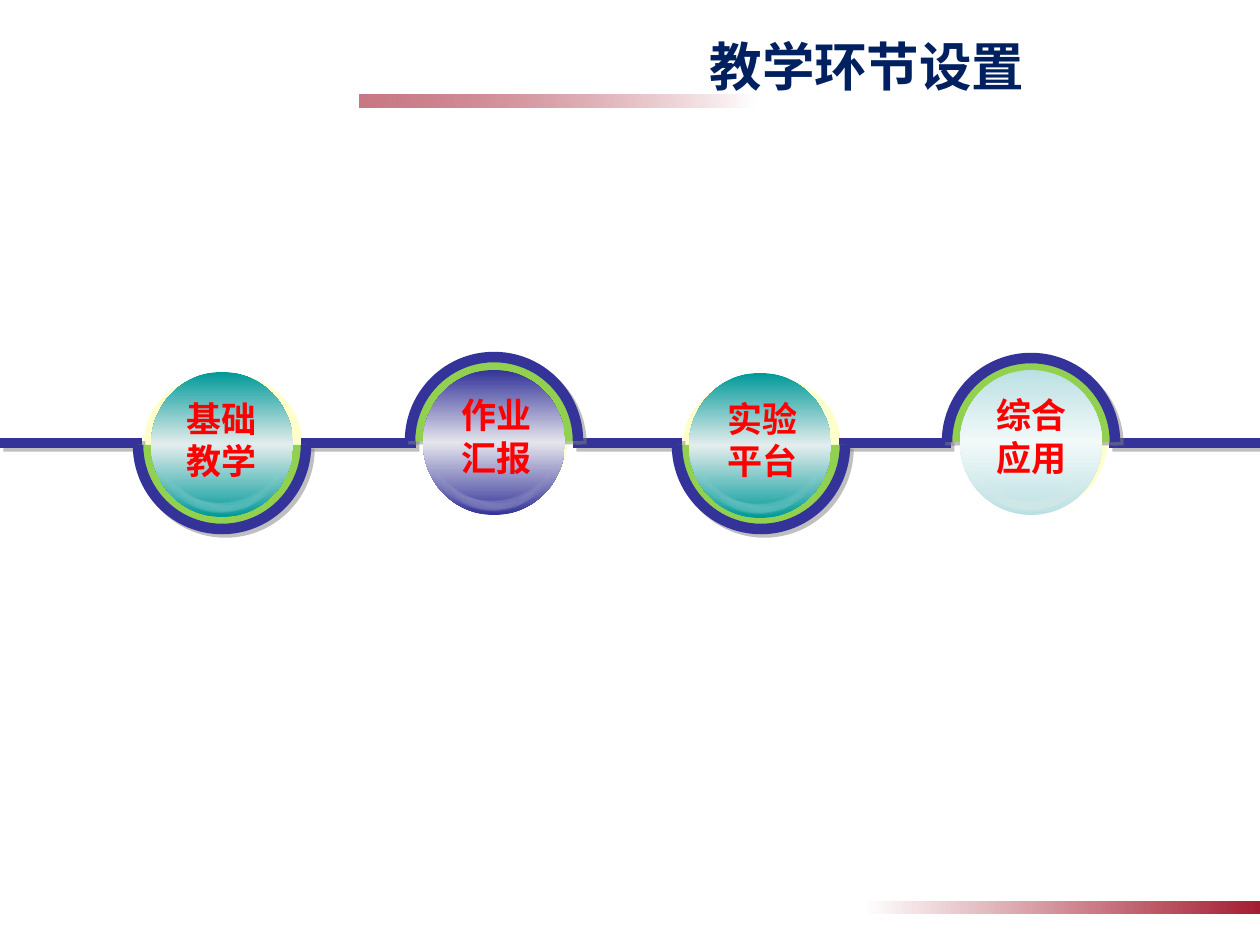
from lxml.etree import SubElement
from pptx import Presentation
from pptx.dml.color import RGBColor
from pptx.enum.shapes import MSO_CONNECTOR as Connector, MSO_SHAPE as Shape
from pptx.enum.text import MSO_ANCHOR as Anchor, PP_ALIGN as Align
from pptx.oxml.ns import qn
from pptx.util import Emu, Pt

PX_PER_INCH = 126
WIDTH, HEIGHT = 1260, 945
RAIL_Y = 443
DISC_WIDTH, DISC_HEIGHT = 142, 145
RING_SIZE = 168

WHITE = RGBColor(0xFF, 0xFF, 0xFF)
CRIMSON = RGBColor(0xA4, 0x1E, 0x31)
NAVY = RGBColor(0x00, 0x20, 0x60)
INDIGO = RGBColor(0x33, 0x33, 0x99)
INDIGO_LIGHT = RGBColor(0xE5, 0xE5, 0xED)
TEAL = RGBColor(0x00, 0x99, 0x99)
TEAL_LIGHT = RGBColor(0xE4, 0xED, 0xED)
AQUA = RGBColor(0xBB, 0xE0, 0xE3)
AQUA_LIGHT = RGBColor(0xF2, 0xF9, 0xF9)
GREEN = RGBColor(0x92, 0xD0, 0x50)
CREAM = RGBColor(0xFF, 0xFF, 0xCC)
GRAY = RGBColor(0x80, 0x80, 0x80)
RED = RGBColor(0xFF, 0x00, 0x00)

CJK_FONT = "Noto Sans CJK SC"
TITLE_FONT = {"name": CJK_FONT, "size": Pt(30), "bold": True}
LABEL_FONT = {"name": "Times New Roman", "size": Pt(20), "bold": True}

# Highlight moons: offset from the disc corner, then rotation
MOONS = [(86, 87, 66.1), (73, 91, 79.7), (67, 92, 84.6), (58, 93, 93.5),
         (63, 93, 88.7), (52, 93, 102.2), (44, 91, 107.2), (35, 88, 116)]

# Text, label corner, disc corner, disc colours, halo box, ring corner, ring is above
STAGES = [
    ("基础教学", (185, 398), (151, 372), (TEAL, TEAL_LIGHT), (144, 373, 158, 139), (138, 361), False),
    ("作业汇报", (460, 394), (423, 370), (INDIGO, INDIGO_LIGHT), (423, 373, 144, 139), (410, 357), True),
    ("实验平台", (726, 398), (689, 373), (TEAL, TEAL_LIGHT), (683, 375, 158, 139), (677, 361), False),
    ("综合应用", (995, 394), (960, 370), (AQUA, AQUA_LIGHT), (963, 373, 144, 139), (947, 358), True),
]
RAIL_SEGMENTS = [(0, 142), (301, 416), (573, 682), (839, 951), (1109, WIDTH)]


def px(value):
    return Emu(round(value * 914400 / PX_PER_INCH))


def add_color(parent, color, opacity=100):
    node = SubElement(parent, qn("a:srgbClr"), val=str(color))
    if opacity < 100:
        SubElement(node, qn("a:alpha"), val=str(opacity * 1000))


class SlideBuilder:
    """Holds the slide and draws each kind of element on it."""

    def __init__(self, slide):
        self.slide = slide
        self.rail_width = Pt(6)

    def shape(self, kind, box, color=None, rotation=0):
        shape = self.slide.shapes.add_shape(kind, *map(px, box))
        shape.shadow.inherit = False
        shape.line.fill.background()
        shape.rotation = rotation
        if color is not None:
            shape.fill.solid()
            shape.fill.fore_color.rgb = color
        return shape

    def gradient_shape(self, kind, box, stops, angle=0, rotation=0):
        """Stops are (position, colour, opacity), all in percent."""
        shape = self.shape(kind, box, rotation=rotation)
        shape.fill.gradient()
        gradient = shape._element.spPr.find(qn("a:gradFill"))
        stop_list = gradient.find(qn("a:gsLst"))
        for stop in list(stop_list):
            stop_list.remove(stop)
        for position, color, opacity in stops:
            stop = SubElement(stop_list, qn("a:gs"), pos=str(position * 1000))
            add_color(stop, color, opacity)
        gradient.find(qn("a:lin")).set("ang", str(angle * 60000))

    def drop_shadow(self, shape):
        properties = shape._element.spPr
        effects = properties.find(qn("a:effectLst"))
        if effects is None:
            effects = SubElement(properties, qn("a:effectLst"))
        shadow = SubElement(effects, qn("a:outerShdw"), dist=str(Pt(2.8)),
                            dir=str(45 * 60000), algn="ctr", rotWithShape="0")
        add_color(shadow, GRAY, 50)

    def outline(self, shape):
        shape.line.color.rgb = INDIGO
        shape.line.width = self.rail_width
        self.drop_shadow(shape)

    def rail(self, start, end):
        self.outline(self.slide.shapes.add_connector(
            Connector.STRAIGHT, px(start), px(RAIL_Y), px(end), px(RAIL_Y)))

    def half_ring(self, corner, above):
        ring = self.shape(Shape.ARC, (*corner, RING_SIZE, RING_SIZE), GREEN)
        half_turn = 180 * 60000 / 100000
        ring.adjustments[0], ring.adjustments[1] = (half_turn, 0) if above else (0, half_turn)
        self.outline(ring)

    def disc(self, corner, edge, middle):
        left, top = corner
        stops = [(0, edge, 100), (50, middle, 100), (100, edge, 100)]
        self.gradient_shape(Shape.OVAL, (left, top, DISC_WIDTH, DISC_HEIGHT), stops, 90)
        for across, down, rotation in MOONS:
            moon = self.shape(Shape.MOON, (left + across, top + down, 19, 76), WHITE, rotation + 180)
            moon.adjustments[0] = 0.5
            color = moon._element.spPr.find(qn("a:solidFill")).find(qn("a:srgbClr"))
            SubElement(color, qn("a:alpha"), val="4000")

    def text(self, words, box, font, color, margins=(0, 0, 0, 0), anchor=Anchor.TOP):
        frame = self.slide.shapes.add_textbox(*map(px, box)).text_frame
        frame.word_wrap = True
        frame.vertical_anchor = anchor
        for side, margin in zip(("left", "top", "right", "bottom"), margins):
            setattr(frame, f"margin_{side}", px(margin))
        paragraph = frame.paragraphs[0]
        paragraph.alignment = Align.CENTER
        run = paragraph.add_run()
        run.text = words
        for name, value in font.items():
            setattr(run.font, name, value)
        run.font.color.rgb = color
        SubElement(run._r.get_or_add_rPr(), qn("a:ea"), typeface=CJK_FONT)


def main():
    presentation = Presentation()
    presentation.slide_width, presentation.slide_height = px(WIDTH), px(HEIGHT)
    builder = SlideBuilder(presentation.slides.add_slide(presentation.slide_layouts[6]))

    for box, opacity, rotation in [((359, 94, 397, 13), 60, 180), ((863, 901, 397, 13), 100, 0)]:
        stops = [(0, WHITE, 100), (100, CRIMSON, opacity)]
        builder.gradient_shape(Shape.RECTANGLE, box, stops, rotation=rotation)
    builder.text("教学环节设置", (474, 26, 786, 79), TITLE_FONT, NAVY, (10, 5, 10, 6), Anchor.MIDDLE)

    for _, _, _, _, halo, _, _ in STAGES:
        builder.shape(Shape.OVAL, halo, CREAM)
    for start, end in RAIL_SEGMENTS:
        builder.rail(start, end)
    for _, _, _, _, _, ring_corner, above in STAGES:
        builder.half_ring(ring_corner, above)
    for _, _, disc_corner, colors, _, _, _ in STAGES:
        builder.disc(disc_corner, *colors)
    for words, label_corner, *_ in STAGES:
        builder.text(words, (*label_corner, 74, 84), LABEL_FONT, RED)

    presentation.save("out.pptx")


if __name__ == "__main__":
    main()
